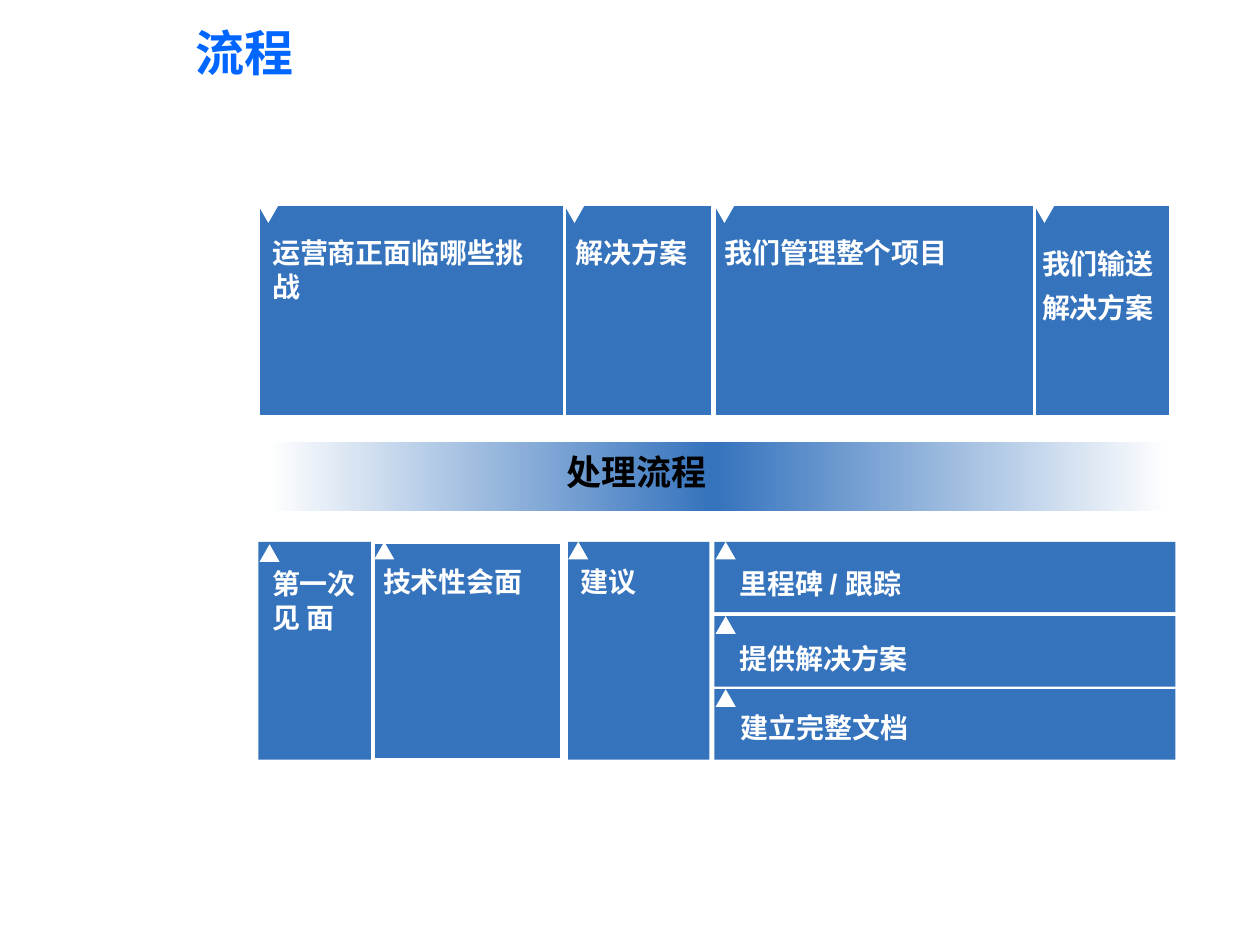
from pptx import Presentation
from pptx.dml.color import RGBColor
from pptx.enum.shapes import MSO_SHAPE as Shape
from pptx.util import Inches, Pt

PX = Inches(0.01)  # 100 px to the inch
COLORS = {"panel": "3573BD", "white": "FFFFFF", "title": "0066FF", "black": "000000"}
HEADING_FONT = "Noto Sans CJK SC"
BODY_FONT = "Karla"
MARKER_WIDTH, MARKER_HEIGHT = 16, 14

# Upper row: panel left, width, text left, top, width, lines, line spacing
UPPER_TOP, UPPER_HEIGHT = 162, 169
UPPER_PANELS = [
    (205, 244, 216, 187, 208, ["运营商正面临哪些挑战"], None),
    (448, 118, 457, 187, 100, ["解决方案"], None),
    (567, 255, 575, 187, 204, ["我们管理整个项目"], None),
    (821, 108, 827, 188, 101, ["我们输送", "解决方案"], 1.3),
]

# Lower row: panel left, width, outlined, text left, top, width, lines, marker left, top
LOWER_TOP, LOWER_HEIGHT = 430, 173
LOWER_PANELS = [
    (205, 92, False, 216, 450, 90, ["第一次", "见 面"], 206, 432),
    (296, 150, True, 304, 448, 128, ["技术性会面"], 297, 430),
    (451, 112, False, 461, 448, 92, ["建议"], 451, 430),
]

# Stacked bars: top, text left, text top, text, font
BAR_LEFT, BAR_WIDTH, BAR_HEIGHT = 567, 366, 56
BARS = [
    (430, 587, 450, "里程碑 / 跟踪", "Arial"),
    (489, 587, 509, "提供解决方案", BODY_FONT),
    (547, 588, 564, "建立完整文档", BODY_FONT),
]


def color(name):
    return RGBColor.from_string(COLORS[name])


def add_text(slide, lines, left, top, width, height, *, size=16, font=BODY_FONT,
             fill="white", margins=(0, 0), spacing=None):
    box = slide.shapes.add_textbox(left * PX, top * PX, width * PX, height * PX)
    frame = box.text_frame
    frame.word_wrap = True
    frame.margin_left = frame.margin_right = margins[0] * PX
    frame.margin_top = frame.margin_bottom = margins[1] * PX
    for index, line in enumerate(lines):
        paragraph = frame.add_paragraph() if index else frame.paragraphs[0]
        if spacing:
            paragraph.line_spacing = spacing
        run = paragraph.add_run()
        run.text = line
        run.font.size = Pt(size)
        run.font.name = font
        run.font.bold = True
        run.font.color.rgb = color(fill)


def add_panel(slide, left, top, width, height, outlined=False):
    panel = slide.shapes.add_shape(
        Shape.RECTANGLE, left * PX, top * PX, width * PX, height * PX)
    panel.shadow.inherit = False
    panel.fill.solid()
    panel.fill.fore_color.rgb = color("panel")
    if outlined:
        panel.line.color.rgb = color("white")
        panel.line.width = Pt(2)
    else:
        panel.line.fill.background()
    return panel


def add_marker(slide, left, top, points_down=False):
    tip, base = (MARKER_HEIGHT, 0) if points_down else (0, MARKER_HEIGHT)
    builder = slide.shapes.build_freeform(
        left + MARKER_WIDTH // 2, top + tip, scale=PX)
    builder.add_line_segments(
        [(left + MARKER_WIDTH, top + base), (left, top + base)], close=True)
    marker = builder.convert_to_shape()
    marker.shadow.inherit = False
    marker.fill.solid()
    marker.fill.fore_color.rgb = color("white")
    marker.line.fill.background()


def add_fade(slide, left, top, width, height, start, end):
    fade = add_panel(slide, left, top, width, height)
    fade.fill.gradient()
    fade.fill.gradient_angle = 0
    for stop, name, position in zip(fade.fill.gradient_stops, (start, end), (0, 1)):
        stop.color.rgb = color(name)
        stop.position = position


def main():
    presentation = Presentation()
    presentation.slide_width = 1000 * PX
    presentation.slide_height = 750 * PX
    slide = presentation.slides.add_slide(presentation.slide_layouts[6])

    # Title
    add_text(slide, ["流程"], 145, 13, 622, 68, size=28, font=HEADING_FONT,
             fill="title", margins=(10, 5))

    # Upper row of panels
    for left, width, text_left, text_top, text_width, lines, spacing in UPPER_PANELS:
        add_panel(slide, left, UPPER_TOP, width, UPPER_HEIGHT, outlined=True)
        add_text(slide, lines, text_left, text_top, text_width, 53, spacing=spacing)
        add_marker(slide, left, UPPER_TOP + 1, points_down=True)

    # Process band
    add_fade(slide, 212, 351, 354, 55, "white", "panel")
    add_fade(slide, 566, 351, 362, 55, "panel", "white")
    add_text(slide, ["处理流程"], 440, 353, 220, 44, size=20, font=HEADING_FONT,
             fill="black", margins=(10, 5))

    # Lower row of panels
    for (left, width, outlined, text_left, text_top, text_width, lines,
         marker_left, marker_top) in LOWER_PANELS:
        add_panel(slide, left, LOWER_TOP, width, LOWER_HEIGHT, outlined)
        add_text(slide, lines, text_left, text_top, text_width, 27 * len(lines))
        add_marker(slide, marker_left, marker_top)

    # Stacked bars
    for top, text_left, text_top, text, font in BARS:
        add_panel(slide, BAR_LEFT, top, BAR_WIDTH, BAR_HEIGHT)
        add_text(slide, [text], text_left, text_top, 160, 27, font=font)
        add_marker(slide, BAR_LEFT + 1, top)

    presentation.save("out.pptx")


if __name__ == "__main__":
    main()
